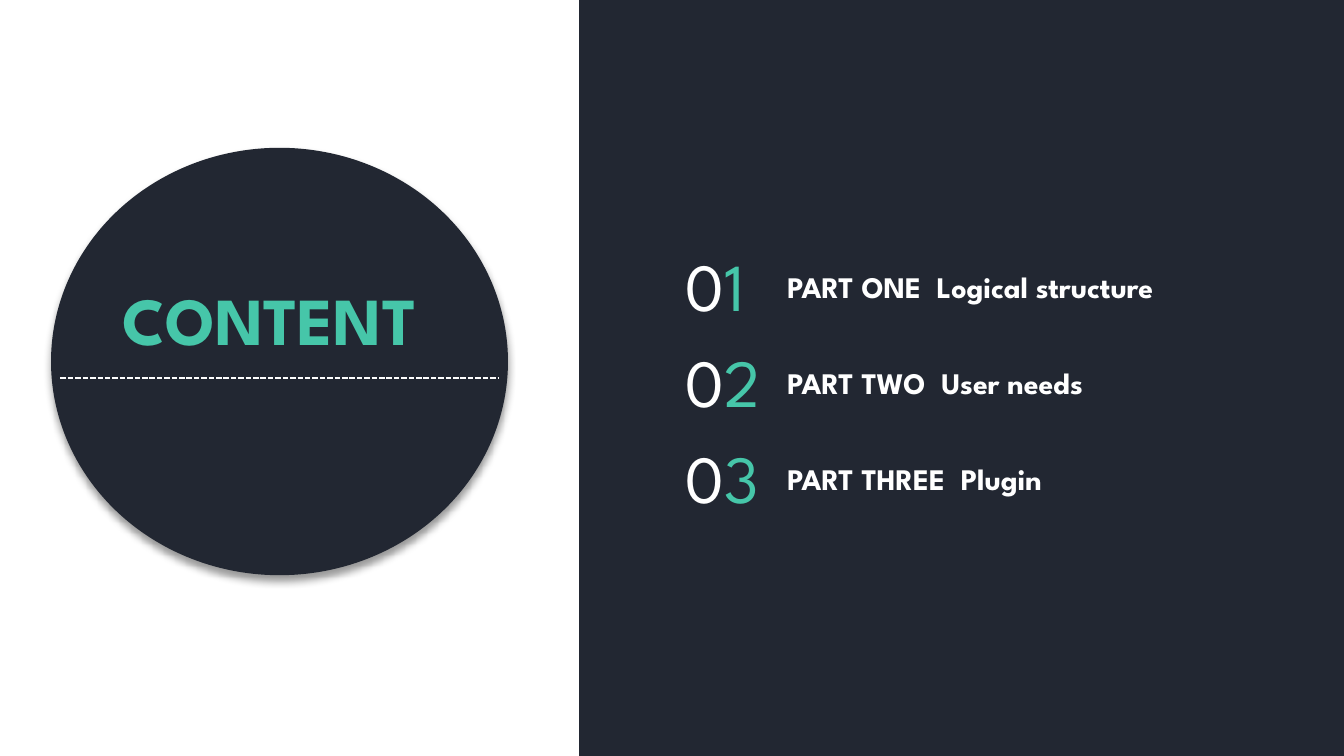
from lxml import etree
from pptx import Presentation, util as u
from pptx.dml.color import RGBColor
from pptx.enum import dml, shapes, text
from pptx.oxml import ns

COLORS = {"dark": "222732", "accent": "46C6A9", "light": "FFFFFF", "shadow": "000000"}
FONT = "League Spartan"
WIDTH = 10
HEIGHT = WIDTH * 9 / 16
PARTS = ["PART ONE  Logical structure", "PART TWO  User needs", "PART THREE  Plugin"]


def rgb(name):
    """Return a palette colour."""
    return RGBColor.from_string(COLORS[name])


def inches(*lengths):
    """Convert lengths in inches to slide units."""
    return [u.Inches(length) for length in lengths]


def add_panel(page, kind, box):
    """Add a dark shape without outline or shadow."""
    panel = page.shapes.add_shape(kind, *inches(*box))
    panel.shadow.inherit = False
    panel.fill.solid()
    panel.fill.fore_color.rgb = rgb("dark")
    panel.line.fill.background()
    return panel


def add_soft_shadow(shape):
    """Give a shape a soft shadow that falls straight down."""
    effects = shape.element.spPr.find(ns.qn("a:effectLst"))
    shadow = etree.SubElement(
        effects, ns.qn("a:outerShdw"), blurRad=str(u.Pt(4)), dist=str(u.Pt(3)),
        dir="5400000", algn="t", rotWithShape="0")
    color = etree.SubElement(shadow, ns.qn("a:srgbClr"), val=COLORS["shadow"])
    etree.SubElement(color, ns.qn("a:alpha"), val="40000")


def write(shape, spans, size, bold=False, wrap=False, spacing=1.0,
          align=text.PP_ALIGN.LEFT):
    """Fill a shape with one paragraph of (words, colour) spans."""
    frame = shape.text_frame
    frame.word_wrap = wrap
    frame.auto_size = text.MSO_AUTO_SIZE.SHAPE_TO_FIT_TEXT
    frame.vertical_anchor = text.MSO_ANCHOR.TOP
    para = frame.paragraphs[0]
    para.alignment = align
    para.line_spacing = spacing
    para.font.name = FONT
    para.font.size = u.Pt(size)
    para.font.bold = bold
    for words, color in spans:
        span = para.add_run()
        span.text = words
        span.font.color.rgb = rgb(color)


def add_heading(page, box):
    """Add the circle with its dashed rule and the slide title."""
    left, top, width, height = box
    add_soft_shadow(add_panel(page, shapes.MSO_SHAPE.OVAL, box))

    inset, rule_y = 0.07, top + 1.71
    rule = page.shapes.add_connector(
        shapes.MSO_CONNECTOR.STRAIGHT,
        *inches(left + inset, rule_y, left + width - inset, rule_y))
    rule.line.color.rgb = rgb("light")
    rule.line.width = u.Pt(1)
    rule.line.dash_style = dml.MSO_LINE.SQUARE_DOT
    etree.SubElement(rule.element.spPr, ns.qn("a:effectLst"))

    title = page.shapes.title
    title.left, title.top, title.width, title.height = inches(
        left + 0.4, top + 0.92, 2.45, 0.71)
    write(title, [("CONTENT", "accent")], 36, bold=True, align=text.PP_ALIGN.CENTER)
    title.element.getparent().append(title.element)  # in front of the circle


def add_contents(page, box):
    """Add the numbered parts, one per equal row of the box."""
    left, top, width, height = box
    number_width = 0.76
    row_height = height / len(PARTS)
    for index, part in enumerate(PARTS):
        row_top = top + index * row_height
        number = page.shapes.add_textbox(*inches(left, row_top, number_width, 0.71))
        write(number, [("0", "light"), (str(index + 1), "accent")], 36)
        label = page.shapes.add_textbox(
            *inches(left + number_width, row_top + 0.1, width - number_width, 0.41))
        write(label, [(part, "light")], 16, bold=True, wrap=True, spacing=1.3)


def build():
    """Build and save the contents slide."""
    deck = Presentation()
    deck.slide_width, deck.slide_height = inches(WIDTH, HEIGHT)
    page = deck.slides.add_slide(deck.slide_layouts.get_by_name("Title Only"))
    panel_left = 4.31
    add_panel(page, shapes.MSO_SHAPE.RECTANGLE,
              (panel_left, 0, WIDTH - panel_left, HEIGHT))
    add_heading(page, (0.38, 1.1, 3.4, 3.18))
    add_contents(page, (5, 1.77, 3.95, 2.14))
    deck.save("out.pptx")


build()
